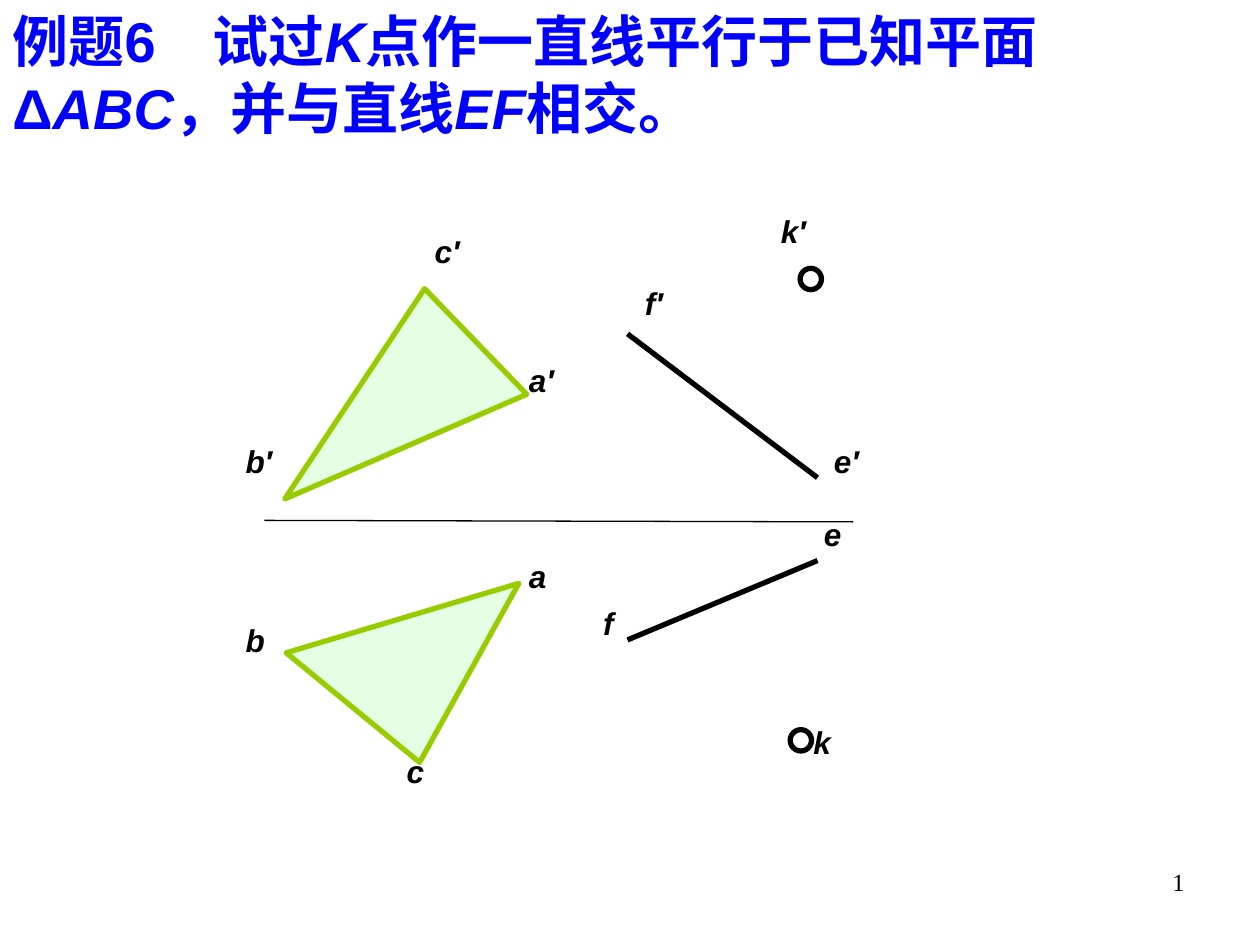
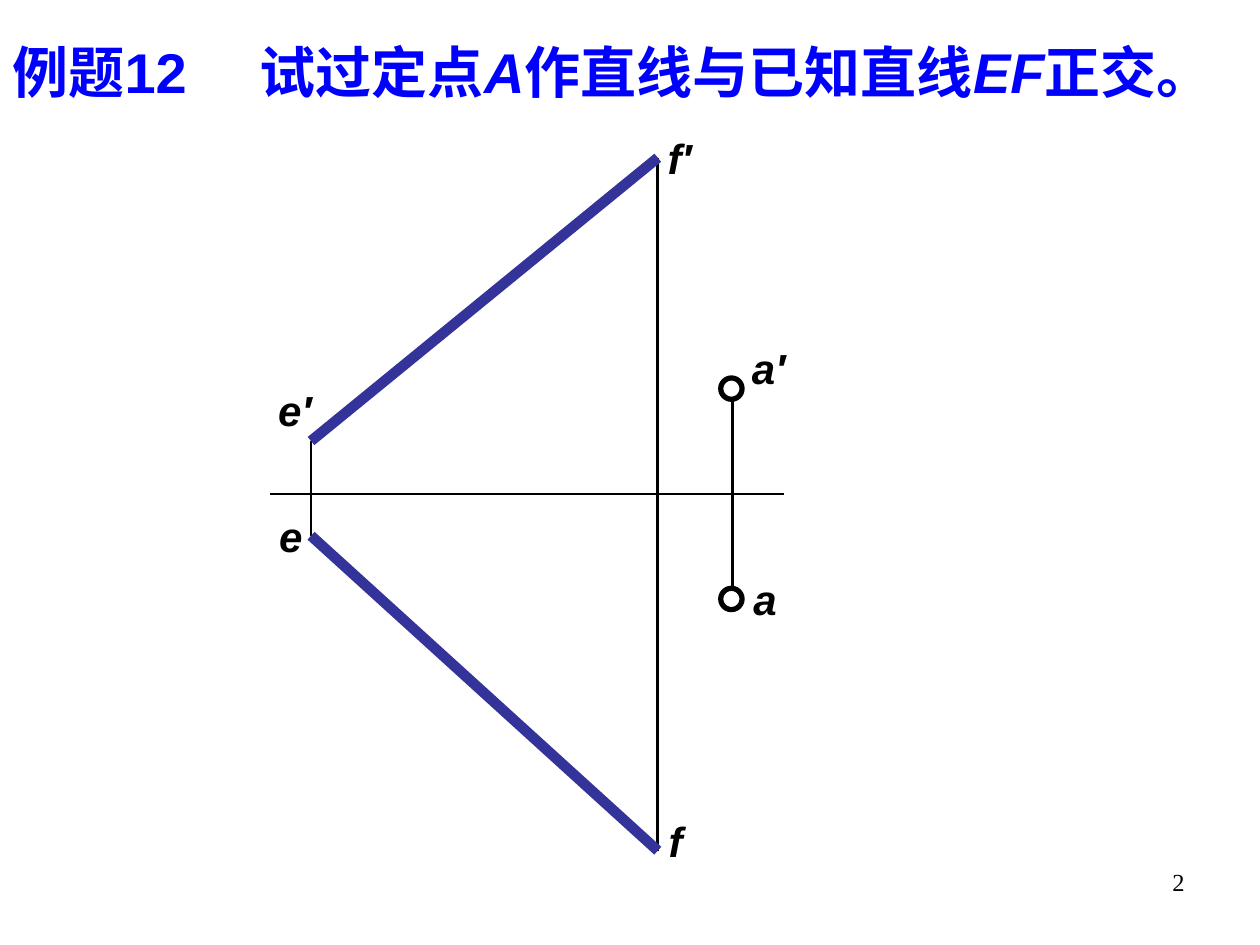
from lxml import etree
from pptx import Presentation
from pptx.dml import color as dml
from pptx.enum import shapes, text
from pptx.oxml import ns
from pptx.util import Cm, Pt

HUES = {"ink": "000000", "title": "0000FF", "edge": "99CC00",
        "face": "CCFFCC", "beam": "333399", "paper": "FFFFFF"}
RGB = {name: dml.RGBColor.from_string(hue) for name, hue in HUES.items()}
DOT = 0.43  # diameter of a point marker, cm

# Content: title runs alternate upright and italic; all lengths in cm
PAGES = [
    {
        "title": ["例题6\t试过", "K", "点作一直线平行于已知平面Δ", "ABC",
                  "，并与直线", "EF", "相交。"],
        "top": 0, "high": 2.97, "tab": 4.04,
        "lines": [
            (5.33, 10.49, 17.2, 10.52, "ink", 0.75),
            (16.48, 9.63, 12.65, 6.73, "ink", 3),
            (12.65, 12.9, 16.48, 11.3, "ink", 3),
        ],
        "faces": [
            [(5.74, 10.06), (8.56, 5.82), (10.62, 7.95)],
            [(8.46, 15.37), (5.77, 13.16), (10.46, 11.76)],
        ],
        "dots": [(16.13, 5.41), (15.93, 14.71)],
        "size": 18, "tall": 1.02, "wrap": True,
        "labels": [
            ("a′", 10.41, 7.16, 1.9), ("b′", 4.7, 8.79, 2.72),
            ("c′", 8.51, 4.55, 2.49), ("e′", 16.56, 8.79, 2.21),
            ("f′", 12.75, 5.61, 1.45), ("k′", 15.49, 4.14, 1.7),
            ("a", 10.41, 11.1, 0.79), ("b", 4.7, 12.4, 1.14),
            ("c", 7.95, 15.04, 0.71), ("e", 16.36, 10.26, 1.45),
            ("f", 11.91, 12.06, 1.27), ("k", 16.15, 14.45, 0.69),
        ],
    },
    {
        "title": ["例题12\t试过定点", "A", "作直线与已知直线", "EF", "正交。"],
        "top": 0.64, "high": 1.63, "tab": 4.99,
        "lines": [
            (13.26, 3.18, 13.26, 17.15, "ink", 1.5),
            (6.27, 8.89, 6.27, 10.8, "ink", 1.5),
            (5.44, 9.96, 15.8, 9.96, "ink", 1.5),
            (14.76, 7.82, 14.76, 12.07, "ink", 1.5),
            (13.26, 3.18, 6.27, 8.89, "beam", 6),
            (6.27, 10.8, 13.26, 17.15, "beam", 6),
        ],
        "faces": [],
        "dots": [(14.53, 7.62), (14.53, 11.86)],
        "size": 24, "tall": 1.27, "wrap": False,
        "labels": [
            ("a′", 14.91, 6.78, 1.24), ("e′", 5.36, 7.62, 1.24),
            ("f′", 13.21, 2.54, 1.07), ("a", 14.94, 11.43, 0.97),
            ("e", 5.38, 10.16, 0.97), ("f", 13.23, 16.31, 0.79),
        ],
    },
]


def write(slide, runs, box, size, hue, face="Arial", bold=True,
          wrap=True, tab=None):
    """Add a one-paragraph text box and return its paragraph."""
    frame = slide.shapes.add_textbox(*map(Cm, box)).text_frame
    frame.word_wrap = wrap
    para = frame.paragraphs[0]
    if tab:
        stops = etree.SubElement(para._p.get_or_add_pPr(), ns.qn("a:tabLst"))
        etree.SubElement(stops, ns.qn("a:tab"), pos=str(Cm(tab)), algn="l")
    font = para.font
    font.name, font.size, font.bold = face, Pt(size), bold
    font.color.rgb = RGB[hue]
    for words in runs:
        para.add_run().text = words
    return para


def paint(shape, fill, edge):
    """Give a closed shape its fill and a 3 pt outline."""
    shape.shadow.inherit = False
    shape.fill.solid()
    shape.fill.fore_color.rgb = RGB[fill]
    shape.line.color.rgb = RGB[edge]
    shape.line.width = Pt(3)


deck = Presentation()
deck.slide_width, deck.slide_height = Cm(25.4), Cm(19.05)

for num, page in enumerate(PAGES, 1):
    slide = deck.slides.add_slide(deck.slide_layouts[6])

    # Page number
    para = write(slide, [str(num)], (18.21, 17.35, 5.92, 1.32), 14, "ink",
                 face="Times New Roman", bold=False)
    para.alignment = text.PP_ALIGN.RIGHT

    # Axis, projectors and given lines
    for *ends, hue, width in page["lines"]:
        line = slide.shapes.add_connector(shapes.MSO_CONNECTOR.STRAIGHT,
                                          *map(Cm, ends))
        line.line.color.rgb = RGB[hue]
        line.line.width = Pt(width)
        etree.SubElement(line._element.spPr, ns.qn("a:effectLst"))

    # Half-transparent triangles
    for corners in page["faces"]:
        first, *rest = [(Cm(x), Cm(y)) for x, y in corners]
        pen = slide.shapes.build_freeform(*first)
        pen.add_line_segments(rest, close=True)
        shape = pen.convert_to_shape()
        paint(shape, "face", "edge")
        tint = shape._element.spPr.find(".//" + ns.qn("a:srgbClr"))
        etree.SubElement(tint, ns.qn("a:alpha"), val="50000")

    # Point markers
    for x, y in page["dots"]:
        dot = slide.shapes.add_shape(shapes.MSO_SHAPE.OVAL, Cm(x), Cm(y),
                                     Cm(DOT), Cm(DOT))
        paint(dot, "paper", "ink")

    # Point names
    for name, x, y, wide in page["labels"]:
        para = write(slide, [name], (x, y, wide, page["tall"]), page["size"],
                     "ink", wrap=page["wrap"])
        para.font.italic = True

    # Title
    para = write(slide, page["title"], (0, page["top"], 25.4, page["high"]),
                 32, "title", tab=page["tab"])
    for run in para.runs[1::2]:
        run.font.italic = True

deck.save("out.pptx")
